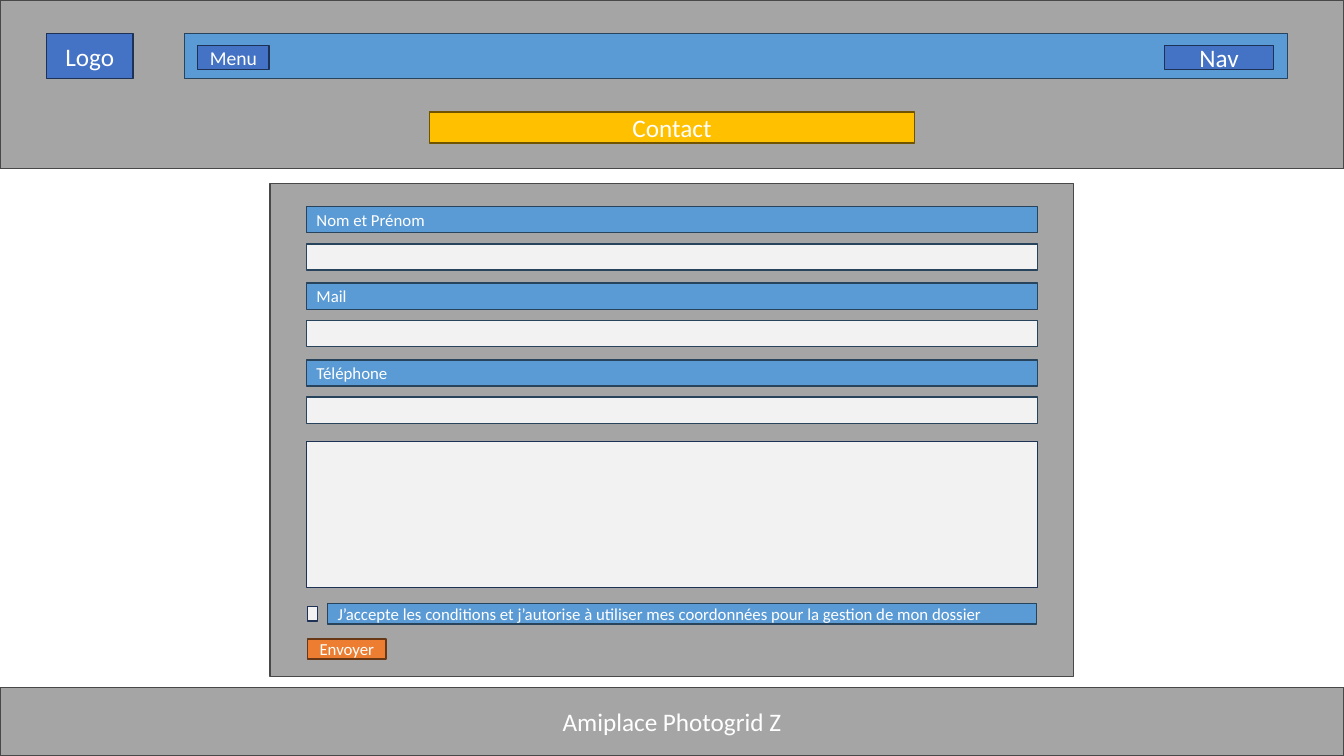
"""Build the wireframe slide of a contact page with header, form and footer."""
from dataclasses import dataclass

from pptx import Presentation
from pptx.dml.color import RGBColor
from pptx.enum.shapes import MSO_SHAPE as Shape
from pptx.enum.text import MSO_ANCHOR as Anchor, PP_ALIGN as Align
from pptx.util import Inches, Pt


@dataclass(frozen=True)
class Theme:
    font: str = "Calibri"
    text: str = "FFFFFF"
    panel: tuple = ("A5A5A5", "484848")
    button: tuple = ("4472C4", "1E3256")
    bar: tuple = ("5B9BD5", "28445D")
    title: tuple = ("FFC000", "705400")
    send: tuple = ("ED7D31", "683715")
    field: tuple = ("F2F2F2", "28445D")
    entry: tuple = ("F2F2F2", "1E3256")
    large: int = 18
    medium: int = 14
    small: int = 12


theme = Theme()
deck = Presentation()
deck.slide_width = Inches(13.33)
deck.slide_height = Inches(7.5)
page = deck.slides.add_slide(deck.slide_layouts[6])


def add_box(left, top, width, height, colors, text="", size=theme.large, align=Align.CENTER):
    """Draw an outlined rectangle, with a line of text if one is given."""
    fill, line = colors
    box = page.shapes.add_shape(
        Shape.RECTANGLE, Inches(left), Inches(top), Inches(width), Inches(height)
    )
    box.shadow.inherit = False
    box.fill.solid()
    box.fill.fore_color.rgb = RGBColor.from_string(fill)
    box.line.color.rgb = RGBColor.from_string(line)
    box.line.width = Pt(1)
    if text:
        frame = box.text_frame
        frame.word_wrap = True
        frame.vertical_anchor = Anchor.MIDDLE
        frame.text = text
        para = frame.paragraphs[0]
        para.alignment = align
        span = para.runs[0]
        span.font.name = theme.font
        span.font.size = Pt(size)
        span.font.color.rgb = RGBColor.from_string(theme.text)


add_box(0, 0, 13.33, 1.67, theme.panel)
add_box(0.46, 0.33, 0.86, 0.45, theme.button, "Logo")
add_box(1.83, 0.33, 10.94, 0.45, theme.bar)
add_box(1.96, 0.45, 0.71, 0.24, theme.button, "Menu", theme.medium)
add_box(11.55, 0.45, 1.08, 0.24, theme.button, "Nav")
add_box(4.26, 1.11, 4.81, 0.31, theme.title, "Contact")
add_box(0, 6.82, 13.33, 0.68, theme.panel, "Amiplace Photogrid Z")

add_box(2.68, 1.82, 7.97, 4.89, theme.panel)
form_left, form_width, row_height = 3.04, 7.25, 0.26
first_row, row_step, field_drop = 2.05, 0.76, 0.37
for index, label in enumerate(("Nom et Prénom", "Mail", "Téléphone")):
    top = first_row + index * row_step
    add_box(form_left, top, form_width, row_height, theme.bar, label, theme.small, Align.LEFT)
    add_box(form_left, top + field_drop, form_width, row_height, theme.field)

add_box(form_left, 4.38, form_width, 1.45, theme.entry)
consent = (
    "J’accepte les conditions et j’autorise à utiliser mes coordonnées "
    "pour la gestion de mon dossier"
)
add_box(3.25, 5.99, 7.03, 0.2, theme.bar, consent, theme.small, Align.LEFT)
add_box(3.05, 6.02, 0.1, 0.14, theme.entry)
add_box(3.05, 6.34, 0.78, 0.2, theme.send, "Envoyer", theme.small)

deck.save("out.pptx")
